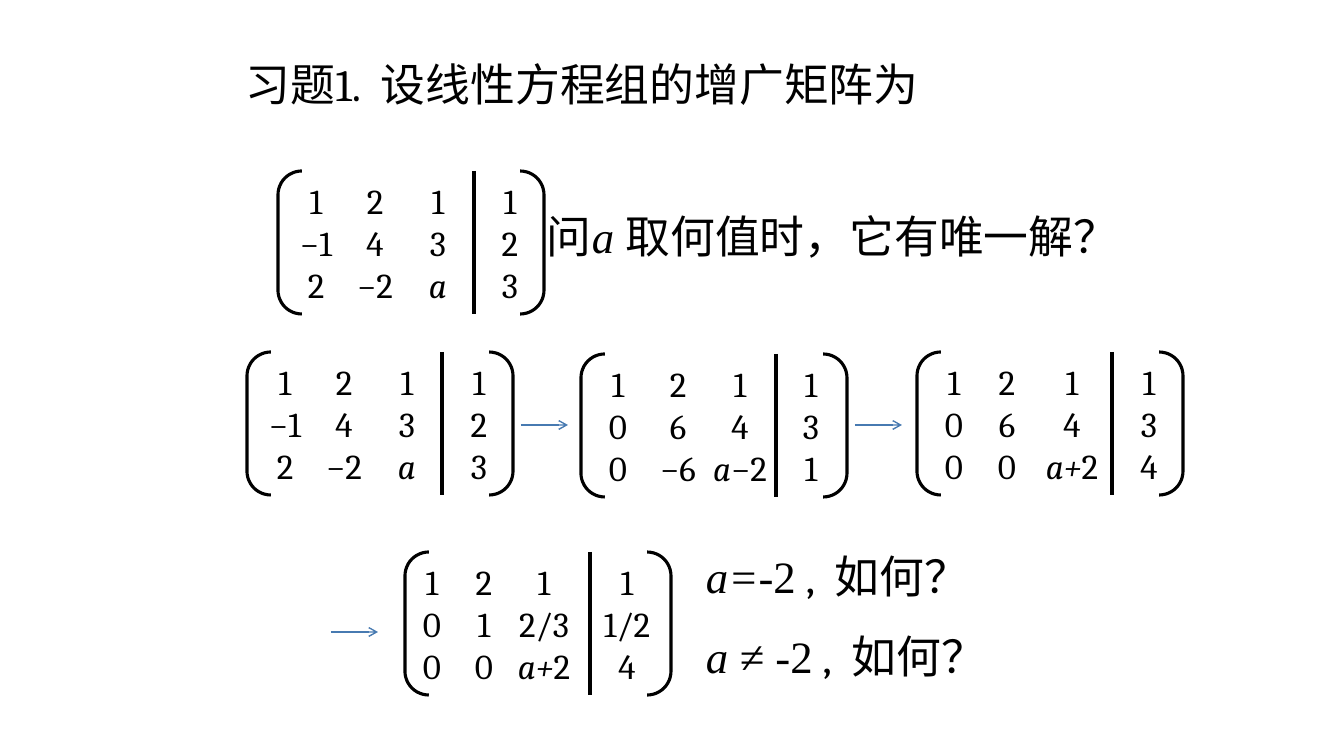
from dataclasses import dataclass
from itertools import groupby

from lxml.etree import SubElement
from pptx import Presentation
from pptx.dml.color import RGBColor
from pptx.enum.shapes import MSO_CONNECTOR, MSO_SHAPE
from pptx.enum.text import MSO_ANCHOR, PP_ALIGN
from pptx.oxml.ns import qn
from pptx.util import Emu, Pt

PX = 914400 / 100.8
COLORS = {"ink": "000000", "arrow": "477AB1"}
SERIF, ROMAN = "Cambria", "Times New Roman"
TEXT_SIZE, ENTRY_SIZE = 32, 25
MATRIX_W, MATRIX_H = 266, 143
COLUMN_W, COLUMN_H, COLUMN_DROP = 68, 137, 4


@dataclass(frozen=True)
class Run:
    text: str
    font: str = SERIF
    italic: bool = False
    spacing: int = 0


@dataclass(frozen=True)
class Line:
    left: int
    top: int
    width: int
    runs: tuple[Run, ...]


@dataclass(frozen=True)
class Matrix:
    left: int
    top: int
    centers: tuple[int, ...]
    bar: int
    rows: tuple[str, ...]


@dataclass(frozen=True)
class Arrow:
    left: int
    y: int
    length: int = 47


WIDE_GAP = Run(" ", spacing=7)
HOW = (Run(" ,"), WIDE_GAP, Run("如何？"))
LINES = (
    Line(236, 52, 708, (Run("习题1."), WIDE_GAP, Run("设线性方程组的增广矩阵为"))),
    Line(537, 204, 610, (Run("问"), Run("a ", ROMAN, True), Run("取何值时，它有唯一解？"))),
    Line(696, 544, 300, (Run("a=", ROMAN, True), Run("-2", ROMAN)) + HOW),
    Line(696, 624, 310, (Run("a ≠ ", ROMAN, True), Run("-2", ROMAN)) + HOW),
)
START = ("1 2 1 1", "−1 4 3 2", "2 −2 a 3")
MATRICES = (
    Matrix(278, 171, (38, 97, 160, 232), 196, START),
    Matrix(247, 352, (38, 97, 160, 232), 195, START),
    Matrix(581, 354, (37, 97, 159, 230), 195, ("1 2 1 1", "0 6 4 3", "0 −6 a−2 1")),
    Matrix(917, 352, (37, 90, 155, 232), 195, ("1 2 1 1", "0 6 4 3", "0 0 a+2 4")),
    Matrix(405, 552, (27, 79, 139, 222), 185, ("1 2 1 1", "0 1 2/3 1/2", "0 0 a+2 4")),
)
ARROWS = (Arrow(521, 425), Arrow(855, 425), Arrow(331, 632))


def px(n: float) -> Emu:
    return Emu(round(n * PX))


def rgb(name: str) -> RGBColor:
    return RGBColor.from_string(COLORS[name])


def add_run(p, run: Run, size: int) -> None:
    r = p.add_run()
    r.text = run.text
    r.font.size = Pt(size)
    r.font.name = run.font
    r.font.italic = run.italic
    r.font.color.rgb = rgb("ink")
    if run.spacing:
        r.font._element.set("spc", str(run.spacing * 100))


def add_line(shapes, line: Line) -> None:
    sp = shapes.add_textbox(px(line.left), px(line.top), px(line.width), px(65))
    tf = sp.text_frame
    tf.word_wrap = True
    for run in line.runs:
        add_run(tf.paragraphs[0], run, TEXT_SIZE)


def add_stroke(shapes, x1: int, y1: int, x2: int, y2: int, color: str, width: float):
    cxn = shapes.add_connector(MSO_CONNECTOR.STRAIGHT, px(x1), px(y1), px(x2), px(y2))
    cxn.line.color.rgb = rgb(color)
    cxn.line.width = Pt(width)
    SubElement(cxn._element.spPr, qn("a:effectLst"))
    return cxn


def add_arrow(shapes, arrow: Arrow) -> None:
    cxn = add_stroke(shapes, arrow.left, arrow.y, arrow.left + arrow.length, arrow.y, "arrow", 1)
    SubElement(cxn.line._get_or_add_ln(), qn("a:tailEnd"), type="arrow")


def add_column(shapes, center: int, top: int, entries: tuple[str, ...]) -> None:
    sp = shapes.add_textbox(px(center - COLUMN_W / 2), px(top), px(COLUMN_W), px(COLUMN_H))
    tf = sp.text_frame
    tf.word_wrap = True
    tf.margin_left = tf.margin_right = 0
    for i, entry in enumerate(entries):
        p = tf.add_paragraph() if i else tf.paragraphs[0]
        p.alignment = PP_ALIGN.CENTER
        for italic, chars in groupby(entry, key=lambda ch: ch in "a+"):
            add_run(p, Run("".join(chars), italic=italic), ENTRY_SIZE)


def add_matrix(shapes, matrix: Matrix) -> None:
    group = shapes.add_group_shape().shapes
    sp = group.add_shape(
        MSO_SHAPE.DOUBLE_BRACKET, px(matrix.left), px(matrix.top), px(MATRIX_W), px(MATRIX_H)
    )
    sp.shadow.inherit = False
    sp.fill.background()
    sp.line.color.rgb = rgb("ink")
    sp.line.width = Pt(2.25)
    sp.text_frame.vertical_anchor = MSO_ANCHOR.MIDDLE
    bar = matrix.left + matrix.bar
    add_stroke(group, bar, matrix.top, bar, matrix.top + MATRIX_H, "ink", 2.25)
    columns = zip(*(row.split() for row in matrix.rows))
    for center, entries in zip(matrix.centers, columns):
        add_column(group, matrix.left + center, matrix.top + COLUMN_DROP, entries)


def main() -> None:
    prs = Presentation()
    prs.slide_width, prs.slide_height = px(1344), px(756)
    s = prs.slides.add_slide(prs.slide_layouts[6])
    for line in LINES:
        add_line(s.shapes, line)
    for arrow in ARROWS:
        add_arrow(s.shapes, arrow)
    for matrix in MATRICES:
        add_matrix(s.shapes, matrix)
    prs.save("out.pptx")


if __name__ == "__main__":
    main()
